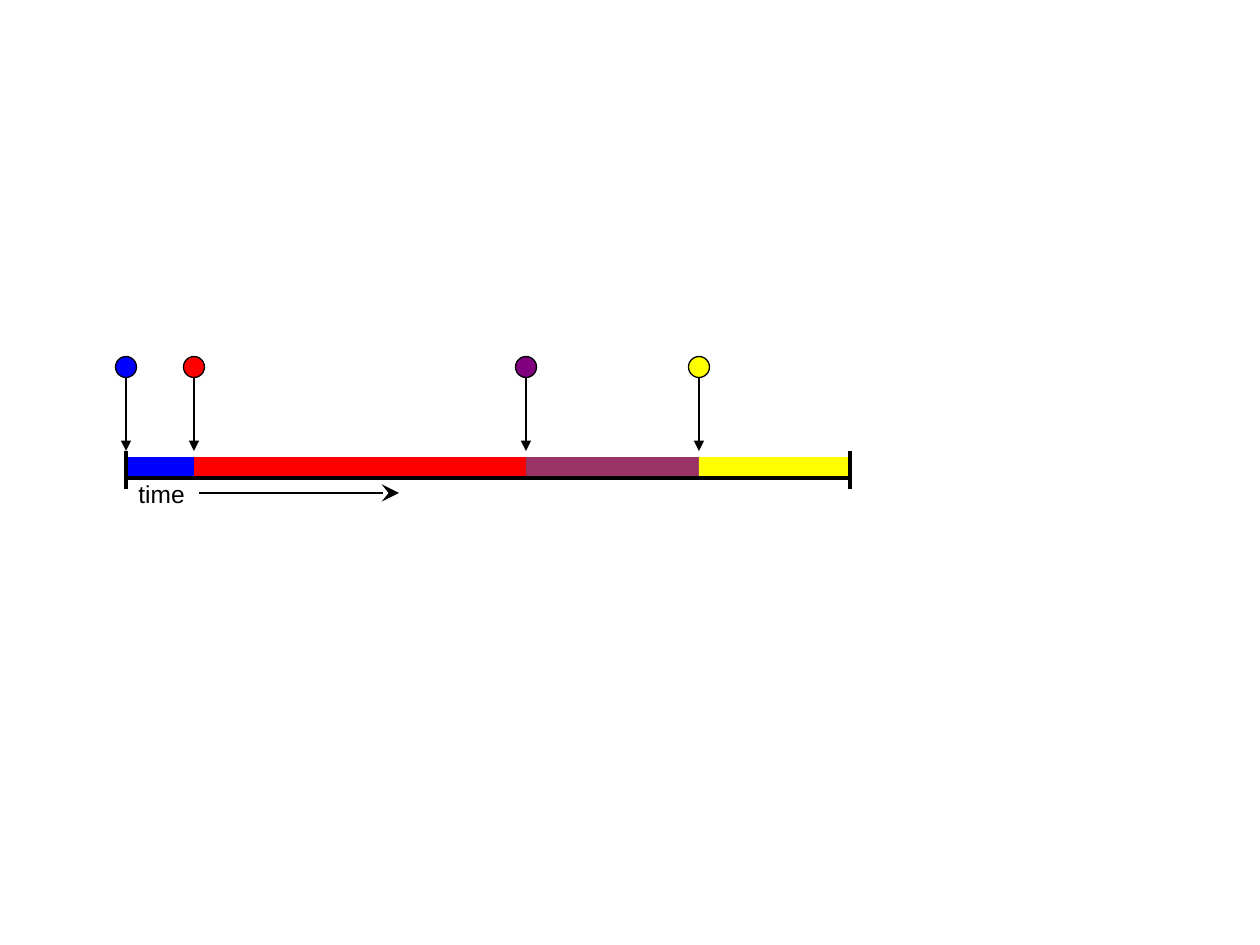
from lxml import etree
from pptx import Presentation
from pptx.dml.color import RGBColor
from pptx.enum.shapes import MSO_CONNECTOR, MSO_SHAPE
from pptx.oxml.ns import qn
from pptx.util import Emu, Pt

RECT, OVAL = MSO_SHAPE.RECTANGLE, MSO_SHAPE.OVAL
STRAIGHT = MSO_CONNECTOR.STRAIGHT
BLACK = RGBColor(0, 0, 0)
BLUE = RGBColor(0, 0, 255)
RED = RGBColor(255, 0, 0)
PLUM = RGBColor(153, 51, 102)
PURPLE = RGBColor(128, 0, 128)
YELLOW = RGBColor(255, 255, 0)

PX = 914400 / 126
THIN, THICK = 0.75, 2.25
START, END = 126, 850
TOP, BASE = 457, 478
TICK_TOP, TICK_END = 451, 489
DOT, DOT_Y = 21, 367

prs = Presentation()
prs.slide_width, prs.slide_height = Emu(int(1260 * PX)), Emu(int(945 * PX))
slide = prs.slides.add_slide(prs.slide_layouts[6])
shapes = slide.shapes


def add_box(kind, *rect, fill, edge=None):
    box = shapes.add_shape(kind, *[Emu(round(v * PX)) for v in rect])
    box.shadow.inherit = False
    box.fill.solid()
    box.fill.fore_color.rgb = fill
    if edge:
        box.line.color.rgb = BLACK
        box.line.width = Pt(edge)
    else:
        box.line.fill.background()


def add_line(*ends, width, head=None, size="med"):
    line = shapes.add_connector(STRAIGHT, *[Emu(round(v * PX)) for v in ends])
    line.line.color.rgb = BLACK
    line.line.width = Pt(width)
    if head:
        etree.SubElement(line.line._get_or_add_ln(), qn("a:tailEnd"),
                         type=head, w=size, len=size)
    etree.SubElement(line._element.spPr, qn("a:effectLst"))


# Each event: position, bar colour, dot colour
events = [
    (START, BLUE, BLUE),
    (194, RED, RED),
    (526, PLUM, PURPLE),
    (699, YELLOW, YELLOW),
]
stops = [x for x, _, _ in events[1:]] + [END]

for (x, tone, _), stop in zip(events, stops):
    add_box(RECT, x, TOP, stop - x, BASE - TOP, fill=tone)
for x, _, _ in events:
    add_line(x, DOT_Y, x, TICK_TOP, width=THIN, head="triangle")

# Time axis with its end ticks
add_line(START, BASE, END, BASE, width=THICK)
for x in (START, END):
    add_line(x, TICK_TOP, x, TICK_END, width=THICK)

for x, _, tone in events:
    add_box(OVAL, x - DOT / 2, DOT_Y - DOT / 2, DOT, DOT, fill=tone, edge=THIN)

label = shapes.add_textbox(*[Emu(round(v * PX)) for v in (START, 473, 72, 43)])
label.text_frame.word_wrap = False
run = label.text_frame.paragraphs[0].add_run()
run.text = "time"
for name, value in {"name": "Arial", "size": Pt(14)}.items():
    setattr(run.font, name, value)
run.font.color.rgb = BLACK
add_line(199, 493, 399, 493, width=THIN, head="stealth", size="lg")

prs.save("out.pptx")
